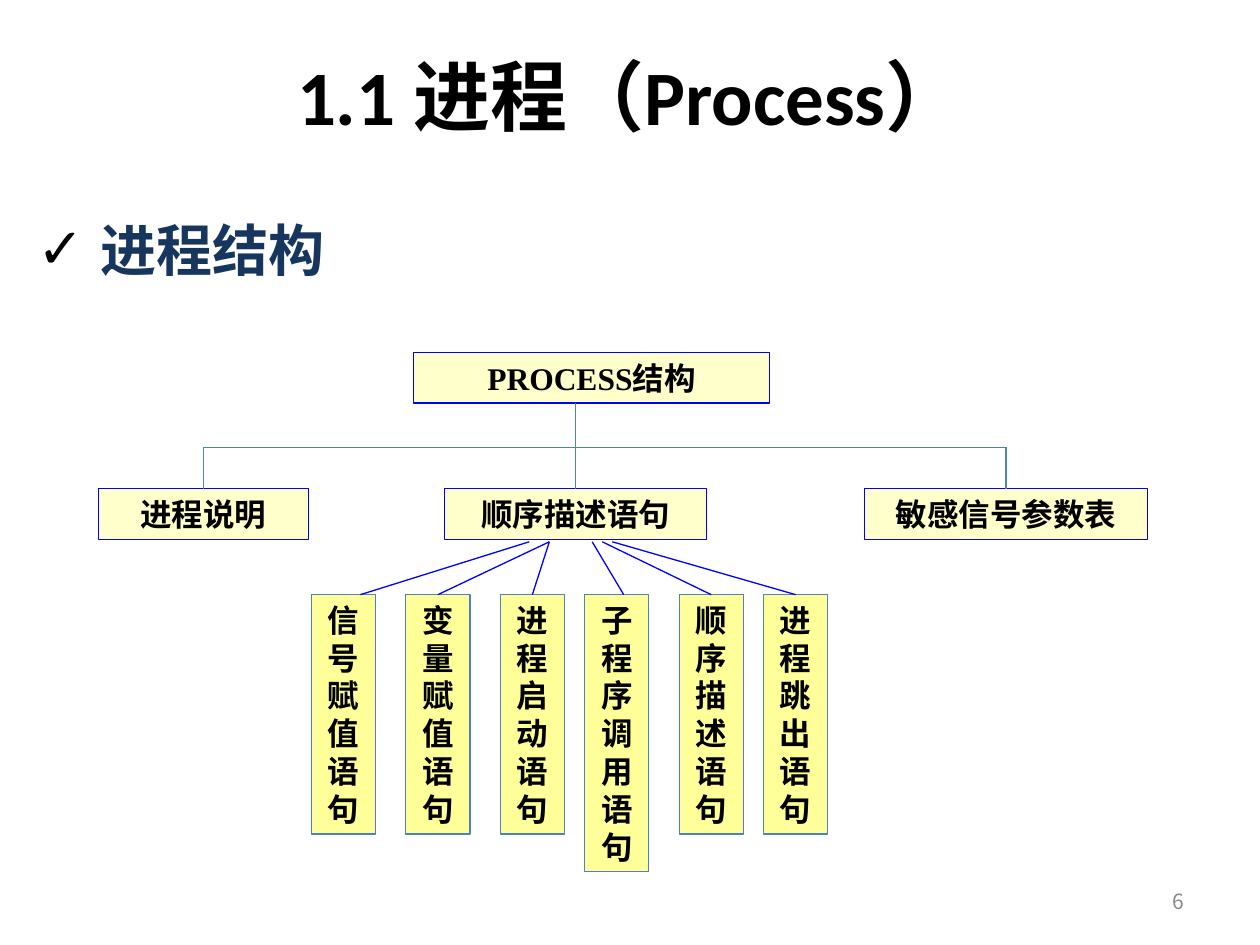
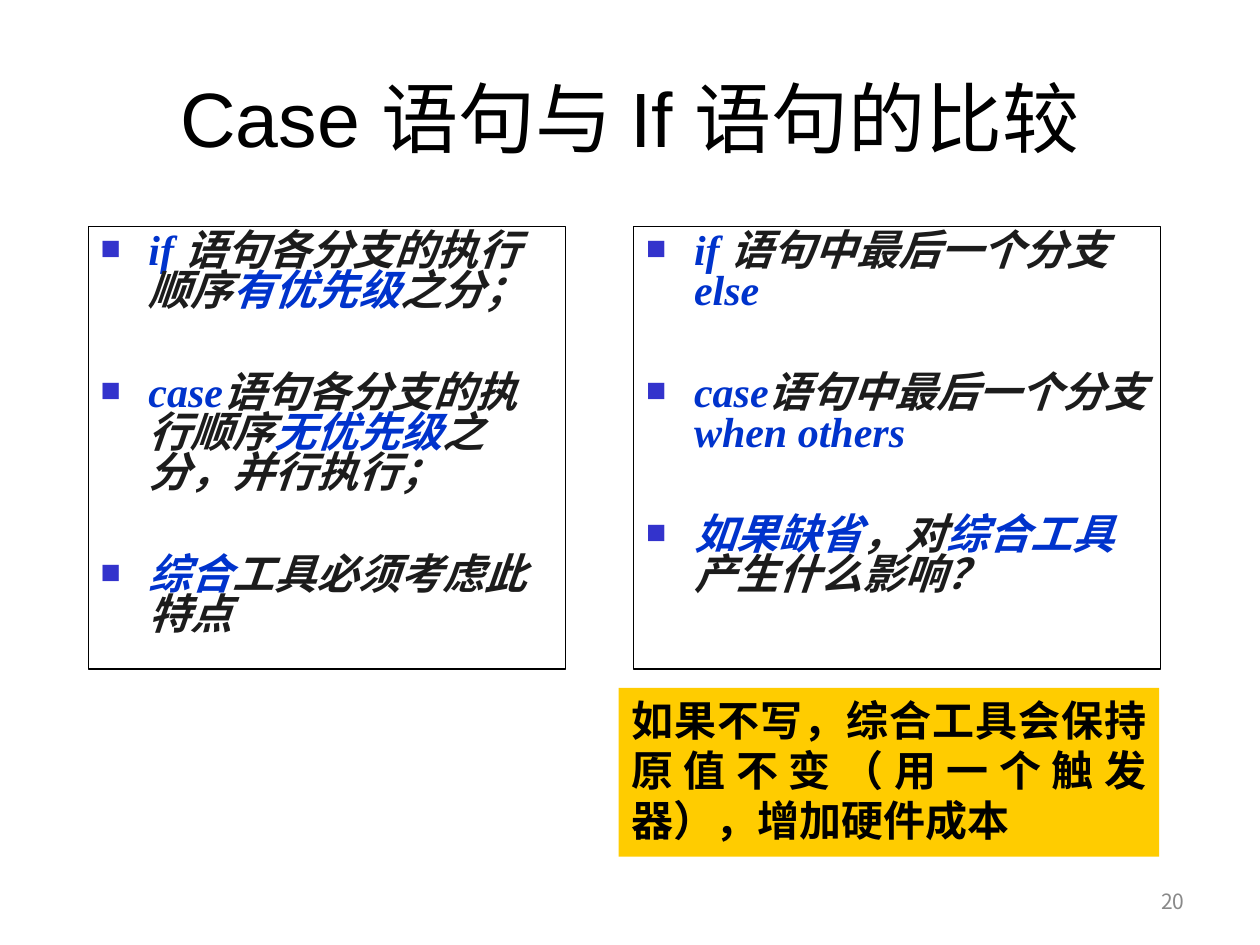
import itertools

import lxml.etree
import pptx
import pptx.dml.color
import pptx.enum.shapes
import pptx.enum.text
import pptx.oxml.ns
import pptx.util

COLUMNS, ROWS = 100, 75
CJK = "Noto Sans CJK SC"
SERIF = "Times New Roman"
BLACK, NAVY, GREY = "000000", "17365D", "898989"
BLUE, STEEL = "0000FF", "4F81BD"
CREAM, YELLOW, GOLD = "FFFFCC", "FFFF99", "FFCC00"
KEYWORD, BODY, MARKER = "0033CC", "1C1C1C", "3333CC"
ALIGN = pptx.enum.text.PP_ALIGN
ANCHOR = pptx.enum.text.MSO_ANCHOR

deck = pptx.Presentation()
deck.slide_width = pptx.util.Inches(10)
deck.slide_height = pptx.util.Inches(7.5)


def color(hex_value):
    return pptx.dml.color.RGBColor.from_string(hex_value)


def across(columns):
    return round(deck.slide_width * columns / COLUMNS)


def down(rows):
    return round(deck.slide_height * rows / ROWS)


def grid(left, top, width, height):
    return across(left), down(top), across(width), down(height)


def child(parent, tag, **attributes):
    element = lxml.etree.SubElement(parent, pptx.oxml.ns.qn(tag))
    for key, value in attributes.items():
        element.set(key, value)
    return element


def style_run(run, size, hex_value, latin=CJK, bold=False, italic=False):
    run.font.size = pptx.util.Pt(size)
    run.font.bold = bold
    run.font.italic = italic
    run.font.color.rgb = color(hex_value)
    run.font.name = latin
    child(run._r.get_or_add_rPr(), "a:ea", typeface=CJK)


def align_inside(paragraph, align):
    paragraph.alignment = align
    paragraph._p.get_or_add_pPr().set("hangingPunct", "0")


def add_bullet(paragraph, mark, hex_value, indent, percent=100):
    properties = paragraph._p.get_or_add_pPr()
    properties.set("marL", str(across(indent)))
    properties.set("indent", str(-across(indent)))
    child(child(properties, "a:buClr"), "a:srgbClr", val=hex_value)
    child(properties, "a:buSzPct", val=str(percent * 1000))
    child(properties, "a:buFont", typeface="Arial")
    child(properties, "a:buChar", char=mark)


def prepare_frame(frame, anchor):
    frame.word_wrap = True
    frame.auto_size = pptx.enum.text.MSO_AUTO_SIZE.NONE
    frame.vertical_anchor = anchor
    frame.margin_left = frame.margin_right = pptx.util.Inches(0.1)
    frame.margin_top = frame.margin_bottom = pptx.util.Inches(0.05)


def write(frame, text, size, hex_value, align, anchor=ANCHOR.MIDDLE, **style):
    prepare_frame(frame, anchor)
    frame.text = text
    paragraph = frame.paragraphs[0]
    align_inside(paragraph, align)
    for run in paragraph.runs:
        style_run(run, size, hex_value, **style)
    return paragraph


def add_panel(slide, box, fill=None, line=None):
    panel = slide.shapes.add_shape(pptx.enum.shapes.MSO_SHAPE.RECTANGLE, *grid(*box))
    panel.shadow.inherit = False
    if fill:
        panel.fill.solid()
        panel.fill.fore_color.rgb = color(fill)
    else:
        panel.fill.background()
    if line:
        panel.line.color.rgb = color(line)
        panel.line.width = pptx.util.Pt(0.75)
    else:
        panel.line.fill.background()
    return panel


def add_node(slide, box, label, fill, line, latin=CJK):
    node = add_panel(slide, box, fill, line)
    write(node.text_frame, label, 18, BLACK, ALIGN.CENTER, ANCHOR.TOP, latin=latin, bold=True)
    return node


def add_line(slide, start, end, hex_value, target=None):
    line = slide.shapes.add_connector(
        pptx.enum.shapes.MSO_CONNECTOR.STRAIGHT,
        across(start[0]), down(start[1]), across(end[0]), down(end[1]))
    line.line.color.rgb = color(hex_value)
    line.line.width = pptx.util.Pt(0.75)
    child(line._element.spPr, "a:effectLst")
    if target is not None:
        line.end_connect(target, 0)


def add_slide(page):
    slide = deck.slides.add_slide(deck.slide_layouts[5])
    number = slide.shapes.add_textbox(*grid(71.7, 69.5, 23.3, 4))
    write(number.text_frame, page, 12, GREY, ALIGN.RIGHT)
    return slide


def place_title(slide, box, text, size, hex_value, align, **style):
    title = slide.shapes.title
    title.left, title.top, title.width, title.height = grid(*box)
    return write(title.text_frame, text, size, hex_value, align, **style)


def draw_process_tree(slide, box):
    left, top, _, _ = box
    bus, branch_top, fan_top, leaf_top = (top + rows for rows in (7.5, 10.8, 15, 19.2))
    add_node(slide, (left + 25, top, 28.3, 4), "PROCESS结构", CREAM, BLUE, SERIF)

    branches = [("进程说明", 0, 16.7), ("顺序描述语句", 27.5, 20.8), ("敏感信号参数表", 60.8, 22.5)]
    centers = [left + offset + width / 2 for _, offset, width in branches]
    add_line(slide, (centers[0], bus), (centers[-1], bus), STEEL)
    add_line(slide, (centers[1], top + 4), (centers[1], bus), STEEL)
    for (label, offset, width), center in zip(branches, centers):
        branch = add_node(slide, (left + offset, branch_top, width, 4), label, CREAM, BLUE)
        add_line(slide, (center, bus), (center, branch_top), STEEL, branch)

    leaf_width = 5.1
    leaves = [
        ("信号赋值语句", 16.9, 34.2, 20.8),
        ("变量赋值语句", 24.4, 35.8, None),
        ("进程启动语句", 31.9, 35.8, None),
        ("子程序调用语句", 38.6, 39.2, 41.7),
        ("顺序描述语句", 46.1, 40, None),
        ("进程跳出语句", 52.8, 40.8, None),
    ]
    for label, offset, fan_start, fan_end in leaves:
        leaf_box = (left + offset, leaf_top, leaf_width, 3 * len(label) + 1)
        leaf = add_node(slide, leaf_box, label, YELLOW, STEEL)
        centered = fan_end is None
        end = offset + leaf_width / 2 if centered else fan_end
        add_line(slide, (left + fan_start, fan_top), (left + end, leaf_top), BLUE,
                 leaf if centered else None)


def draw_comparison(slide, box, points):
    panel = add_panel(slide, box, line=BLACK)
    frame = panel.text_frame
    prepare_frame(frame, ANCHOR.TOP)
    for index, pieces in enumerate(points):
        paragraph = frame.add_paragraph() if index else frame.paragraphs[0]
        align_inside(paragraph, ALIGN.LEFT)
        paragraph.line_spacing = 0.8
        paragraph.space_before = pptx.util.Pt(35 if index else 0)
        add_bullet(paragraph, "■", MARKER, 3.8, 80)
        for piece, hex_value in zip(pieces, itertools.cycle((KEYWORD, BODY))):
            run = paragraph.add_run()
            run.text = piece
            style_run(run, 24, hex_value, SERIF, bold=True, italic=True)


def build_process_slide():
    slide = add_slide("6")
    heading = slide.shapes.add_textbox(*grid(5, 1.3, 90, 12.5))
    write(heading.text_frame, "1.1 进程（Process）", 44, BLACK, ALIGN.CENTER,
          latin="Calibri", bold=True)
    topic = place_title(slide, (2, 15.5, 37.1, 8.6), "进程结构", 32, NAVY, ALIGN.LEFT, bold=True)
    add_bullet(topic, "✓", BLACK, 5)
    draw_process_tree(slide, (7.8, 28, 83.3, 41.2))


def build_comparison_slide():
    slide = add_slide("20")
    place_title(slide, (5, 3, 90, 12.5), "Case 语句与 If 语句的比较", 44, BLACK, ALIGN.CENTER,
                latin="Arial")
    draw_comparison(slide, (7, 18, 37.9, 35.1), [
        ("if ", "语句各分支的执行顺序", "有优先级", "之分；"),
        ("case", "语句各分支的执行顺序", "无优先级", "之分，并行执行；"),
        ("综合", "工具必须考虑此特点"),
    ])
    draw_comparison(slide, (50.3, 18, 41.8, 35.1), [
        ("if ", "语句中最后一个分支", "else"),
        ("case", "语句中最后一个分支", "when others"),
        ("如果缺省", "，对", "综合工具", "产生什么影响？"),
    ])
    answer = add_panel(slide, (49.1, 54.6, 42.9, 13.4), GOLD)
    write(answer.text_frame, "如果不写，综合工具会保持原值不变（用一个触发器），增加硬件成本",
          24, BLACK, ALIGN.JUSTIFY, ANCHOR.TOP, bold=True)


def main():
    build_process_slide()
    build_comparison_slide()
    deck.save("out.pptx")


if __name__ == "__main__":
    main()
